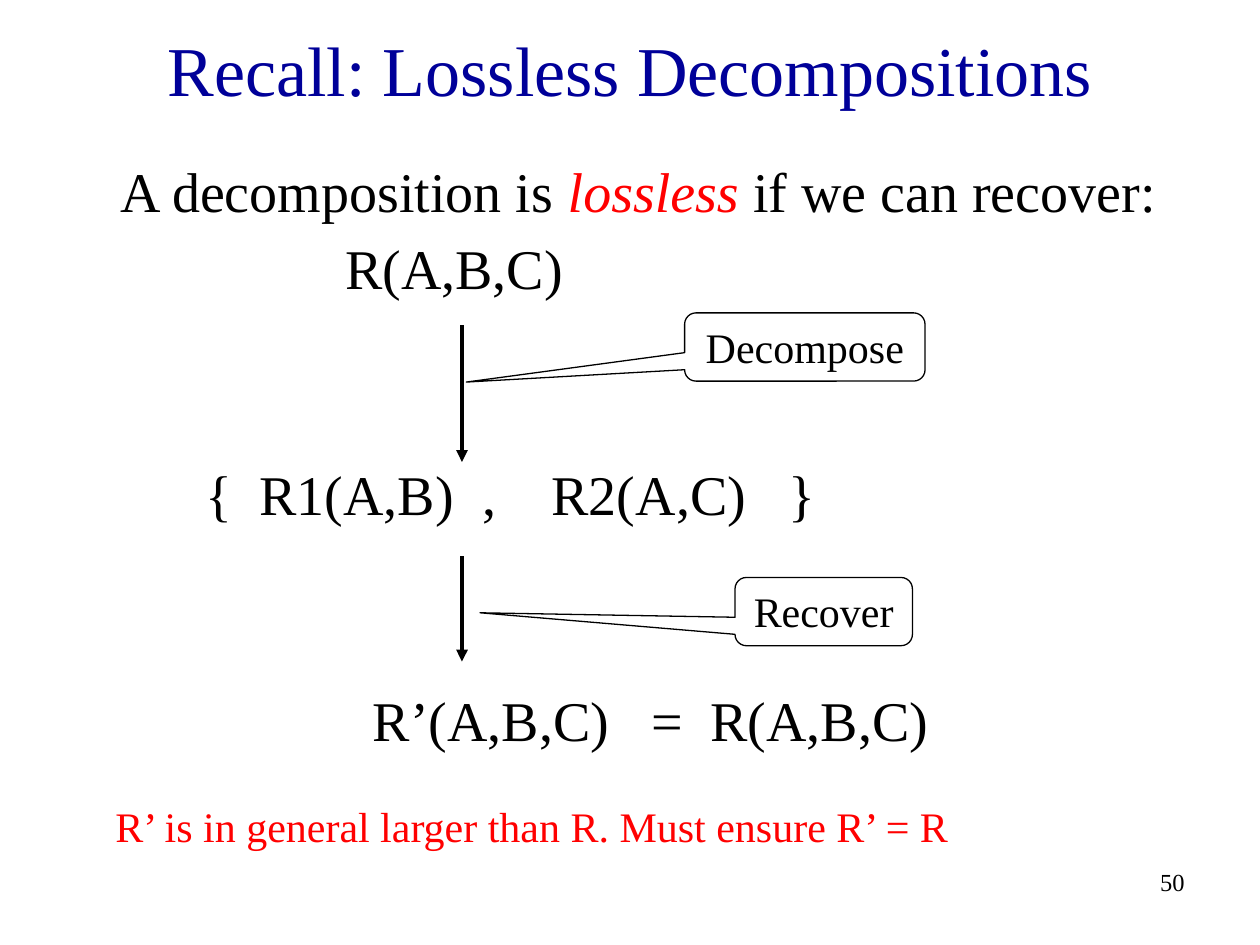
from dataclasses import dataclass

from lxml.etree import SubElement
from pptx import Presentation
from pptx.dml.color import RGBColor
from pptx.enum.shapes import MSO_CONNECTOR as Connector, MSO_SHAPE as Shape
from pptx.enum.text import MSO_ANCHOR as Anchor, PP_ALIGN as Align
from pptx.oxml.ns import qn
from pptx.util import Inches, Pt

FONT = "Times New Roman"
BLACK, RED, BLUE, WHITE = "000000", "FF0000", "000099", "FFFFFF"
COLUMNS, ROWS = 120, 90
SLIDE_WIDTH, SLIDE_HEIGHT = Inches(10), Inches(7.5)
LINE_GAP = 9.4
EMPTY_LINES = 85.2


@dataclass
class Box:
    """A place on the slide, in grid columns and rows."""
    column: float
    row: float
    columns: float
    rows: float

    def lengths(self) -> tuple:
        return x(self.column), y(self.row), x(self.columns), y(self.rows)


@dataclass
class Callout:
    text: str
    box: Box
    tip: tuple[float, float]


@dataclass
class Line:
    """A body line; each entry of tabs places one tabbed part, in inches."""
    runs: list[tuple[str, str, bool]]
    tabs: tuple[float, ...] = ()
    space_before: float = LINE_GAP


BODY = [
    Line([("A decomposition is ", BLACK, False), ("lossless", RED, True),
          (" if we can recover:", BLACK, False)], space_before=0),
    Line([("\tR(A,B,C)", BLACK, False)], (1.89,)),
    Line([("\t{\tR1(A,B)\t,\tR2(A,C)\t}", BLACK, False)],
         (0.78, 1.21, 2.98, 3.53, 5.41), LINE_GAP + EMPTY_LINES),
    Line([("\tR’(A,B,C)\t=\tR(A,B,C)", BLACK, False)],
         (2.11, 4.32, 4.79), LINE_GAP + EMPTY_LINES),
]
BODY_INDENT = 0.11
ARROW_COLUMN = 44
ARROW_ROWS = [(31, 44), (53, 63)]
CALLOUTS = [
    Callout("Decompose", Box(65.2, 29.8, 22.9, 6.5), (-1.408, 0.514)),
    Callout("Recover", Box(70, 55, 16.9, 6.5), (-1.937, 0.018)),
]


def x(columns: float) -> int:
    return round(SLIDE_WIDTH * columns / COLUMNS)


def y(rows: float) -> int:
    return round(SLIDE_HEIGHT * rows / ROWS)


def color(value: str) -> RGBColor:
    return RGBColor.from_string(value)


def add_run(paragraph, text: str, *, size: float, fill: str = BLACK, italic: bool = False) -> None:
    run = paragraph.add_run()
    run.text = text
    run.font.name, run.font.size, run.font.italic = FONT, Pt(size), italic
    run.font.color.rgb = color(fill)


def write(shape, text: str, *, size: float, fill: str = BLACK,
          align=Align.LEFT, anchor=Anchor.TOP) -> None:
    frame = shape.text_frame
    frame.word_wrap, frame.vertical_anchor = True, anchor
    paragraph = frame.paragraphs[0]
    paragraph.alignment = align
    add_run(paragraph, text, size=size, fill=fill)


def add_text(slide, text: str, box: Box, **text_format) -> None:
    write(slide.shapes.add_textbox(*box.lengths()), text, **text_format)


def add_tabs(paragraph, positions: tuple[float, ...]) -> None:
    tab_list = SubElement(paragraph._p.get_or_add_pPr(), qn("a:tabLst"))
    for position in positions:
        SubElement(tab_list, qn("a:tab"), pos=str(Inches(position)), algn="l")


def add_body(slide, lines: list[Line], box: Box) -> None:
    frame = slide.shapes.add_textbox(*box.lengths()).text_frame
    frame.word_wrap = True
    for index, line in enumerate(lines):
        paragraph = frame.add_paragraph() if index else frame.paragraphs[0]
        if line.tabs:
            add_tabs(paragraph, line.tabs)
        else:
            paragraph._p.get_or_add_pPr().set("marL", str(Inches(BODY_INDENT)))
        paragraph.line_spacing = 0.9
        paragraph.space_before = Pt(line.space_before)
        for text, fill, italic in line.runs:
            add_run(paragraph, text, size=32, fill=fill, italic=italic)


def add_down_arrow(slide, column: float, top: float, bottom: float) -> None:
    arrow = slide.shapes.add_connector(Connector.STRAIGHT, x(column), y(top), x(column), y(bottom))
    arrow.line.color.rgb = color(BLACK)
    arrow.line.width = Pt(2.25)
    SubElement(arrow.line._get_or_add_ln(), qn("a:tailEnd"), type="triangle")
    SubElement(arrow._element.spPr, qn("a:effectLst"))


def add_callout(slide, callout: Callout) -> None:
    shape = slide.shapes.add_shape(Shape.ROUNDED_RECTANGULAR_CALLOUT, *callout.box.lengths())
    shape.shadow.inherit = False
    shape.adjustments[0], shape.adjustments[1] = callout.tip
    shape.fill.solid()
    shape.fill.fore_color.rgb = color(WHITE)
    shape.line.color.rgb = color(BLACK)
    shape.line.width = Pt(0.75)
    write(shape, callout.text, size=24, align=Align.CENTER, anchor=Anchor.BOTTOM)


def main() -> None:
    presentation = Presentation()
    presentation.slide_width, presentation.slide_height = SLIDE_WIDTH, SLIDE_HEIGHT
    slide = presentation.slides.add_slide(presentation.slide_layouts[6])
    add_text(slide, "50", Box(89, 82, 25, 6), size=14, align=Align.RIGHT)
    add_text(slide, "Recall: Lossless Decompositions", Box(9, 3, 102, 7),
             size=40, fill=BLUE, align=Align.CENTER, anchor=Anchor.MIDDLE)
    add_body(slide, BODY, Box(9, 15, 105, 60))
    for top, bottom in ARROW_ROWS:
        add_down_arrow(slide, ARROW_COLUMN, top, bottom)
    add_text(slide, "R’ is in general larger than R. Must ensure R’ = R",
             Box(9.8, 75.6, 83.4, 6), size=24, fill=RED, anchor=Anchor.BOTTOM)
    for callout in CALLOUTS:
        add_callout(slide, callout)
    presentation.save("out.pptx")


if __name__ == "__main__":
    main()
